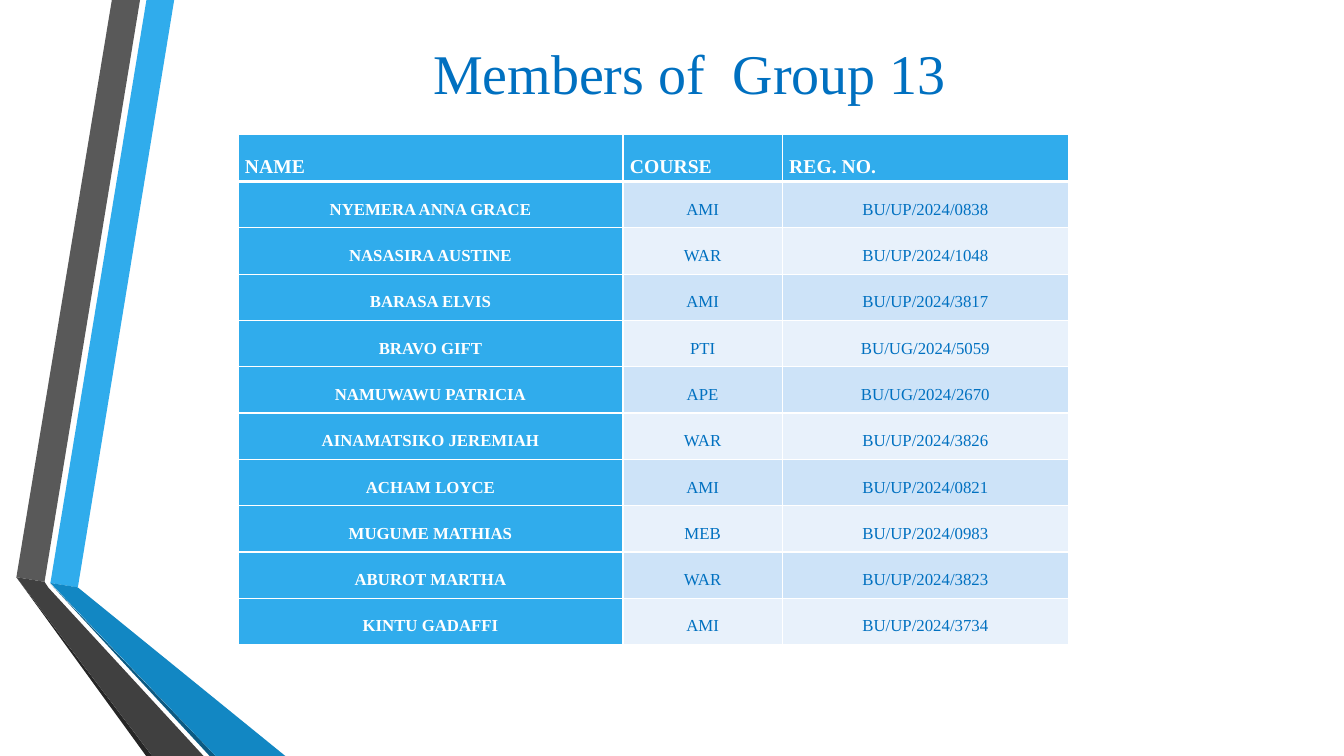
from lxml.etree import SubElement
from pptx import Presentation
from pptx.dml.color import RGBColor
from pptx.enum.text import MSO_ANCHOR as Anchor, PP_ALIGN as Align
from pptx.oxml.ns import qn
from pptx.util import Pt

WHITE = RGBColor(0xFF, 0xFF, 0xFF)
TEXT_BLUE = RGBColor(0x00, 0x70, 0xC0)
SKY = RGBColor(0x30, 0xAC, 0xEC)
DEEP_SKY = RGBColor(0x12, 0x87, 0xC3)
NAVY = RGBColor(0x0C, 0x5A, 0x82)
GREY = RGBColor(0x59, 0x59, 0x59)
DARK_GREY = RGBColor(0x40, 0x40, 0x40)
NEAR_BLACK = RGBColor(0x26, 0x26, 0x26)
BANDS = (RGBColor(0xCD, 0xE3, 0xF8), RGBColor(0xE8, 0xF1, 0xFB))
FONT = "Times New Roman"

# Folded ribbons down the left edge, corners in points
RIBBONS = [
    (SKY, [(36, 416.4), (55.6, 419.6), (124.4, 0), (104.6, 0)]),
    (GREY, [(100, 0), (79.9, 0), (11.7, 412.3), (31.8, 415.6)]),
    (NEAR_BLACK, [(11.7, 412.3), (104.4, 540), (108.7, 540)]),
    (NAVY, [(36, 416.9), (149.8, 540), (154.1, 540)]),
    (DEEP_SKY, [(36, 416.4), (154.1, 540), (203.8, 540), (55.6, 419.6)]),
    (DARK_GREY, [(145.4, 540), (34.6, 419.8), (31.8, 415.6), (11.7, 412.3),
                 (108.7, 540)]),
]

HEADINGS = ("NAME", "COURSE", "REG. NO.")
MEMBERS = [
    ("NYEMERA ANNA GRACE", "AMI", "BU/UP/2024/0838"),
    ("NASASIRA AUSTINE", "WAR", "BU/UP/2024/1048"),
    ("BARASA ELVIS", "AMI", "BU/UP/2024/3817"),
    ("BRAVO GIFT", "PTI", "BU/UG/2024/5059"),
    ("NAMUWAWU PATRICIA", "APE", "BU/UG/2024/2670"),
    ("AINAMATSIKO JEREMIAH", "WAR", "BU/UP/2024/3826"),
    ("ACHAM LOYCE", "AMI", "BU/UP/2024/0821"),
    ("MUGUME MATHIAS", "MEB", "BU/UP/2024/0983"),
    ("ABUROT MARTHA", "WAR", "BU/UP/2024/3823"),
    ("KINTU GADAFFI", "AMI", "BU/UP/2024/3734"),
]
COLUMN_WIDTHS = (275, 113.8, 204.5)
HEADER_HEIGHT, MEMBER_HEIGHT = 32.2, 33.1
CELL_FORMAT = {"margin_left": Pt(5), "margin_right": Pt(5),
               "margin_top": Pt(0), "margin_bottom": Pt(0)}
LINE_FORMAT = {"line_spacing": 2.0, "space_after": Pt(6.5)}


def apply(target, values):
    for name, value in values.items():
        setattr(target, name, value)


def write(paragraph, text, size, color, align, bold=False):
    paragraph.alignment = align
    run = paragraph.add_run()
    run.text = text
    apply(run.font, {"name": FONT, "size": Pt(size), "bold": bold})
    run.font.color.rgb = color


def add_ribbon(slide, color, corners):
    start, *others = [(Pt(x), Pt(y)) for x, y in corners]
    outline = slide.shapes.build_freeform(*start)
    outline.add_line_segments(others, close=True)
    ribbon = outline.convert_to_shape()
    ribbon.shadow.inherit = False
    ribbon.fill.solid()
    ribbon.fill.fore_color.rgb = color
    ribbon.line.fill.background()


def add_title(slide, text):
    box = slide.shapes.add_textbox(Pt(123), Pt(8.6), Pt(703), Pt(86.4))
    # The wide left margin sets the heading right of the box's middle
    apply(box.text_frame, {"word_wrap": True, "vertical_anchor": Anchor.MIDDLE,
                           "margin_left": Pt(43)})
    write(box.text_frame.paragraphs[0], text, 40, TEXT_BLUE, Align.CENTER)


def add_borders(cell, widths):
    properties = cell._tc.get_or_add_tcPr()
    for side, width in widths.items():
        border = SubElement(properties, qn(f"a:ln{side}"), w=str(Pt(width)))
        fill = SubElement(border, qn("a:solidFill"))
        SubElement(fill, qn("a:srgbClr"), val=str(WHITE))


def fill_cell(cell, row, column, text):
    header = row == 0
    white_text = header or column == 0
    apply(cell, CELL_FORMAT)
    add_borders(cell, {"L": 1, "R": 1, "T": 3 if row == 1 else 1,
                       "B": 3 if header else 1})
    cell.fill.solid()
    cell.fill.fore_color.rgb = SKY if white_text else BANDS[(row - 1) % 2]
    paragraph = cell.text_frame.paragraphs[0]
    apply(paragraph, LINE_FORMAT)
    write(paragraph, text, 14 if header else 12,
          WHITE if white_text else TEXT_BLUE,
          Align.JUSTIFY if header else Align.CENTER, bold=white_text)


def add_member_table(slide):
    rows = [HEADINGS, *MEMBERS]
    height = HEADER_HEIGHT + MEMBER_HEIGHT * len(MEMBERS)
    table = slide.shapes.add_table(
        len(rows), len(HEADINGS), Pt(170), Pt(96),
        Pt(sum(COLUMN_WIDTHS)), Pt(height)).table
    for column, width in zip(table.columns, COLUMN_WIDTHS):
        column.width = Pt(width)
    for r, texts in enumerate(rows):
        table.rows[r].height = Pt(MEMBER_HEIGHT if r else HEADER_HEIGHT)
        for c, text in enumerate(texts):
            fill_cell(table.cell(r, c), r, c, text)


def main():
    deck = Presentation()
    apply(deck, {"slide_width": Pt(960), "slide_height": Pt(540)})
    slide = deck.slides.add_slide(deck.slide_layouts[6])

    # Decoration
    for color, corners in RIBBONS:
        add_ribbon(slide, color, corners)

    # Heading and member list
    add_title(slide, "Members of  Group 13")
    add_member_table(slide)

    deck.save("out.pptx")


if __name__ == "__main__":
    main()
